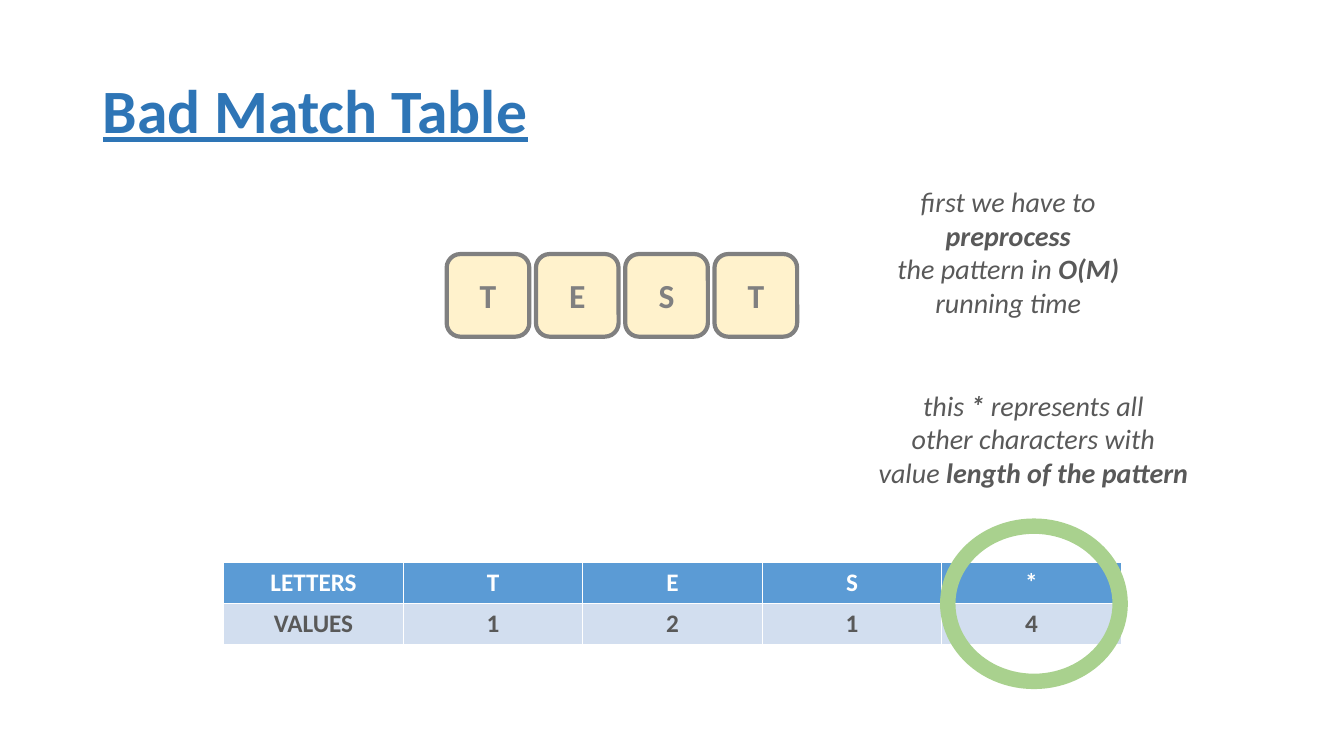
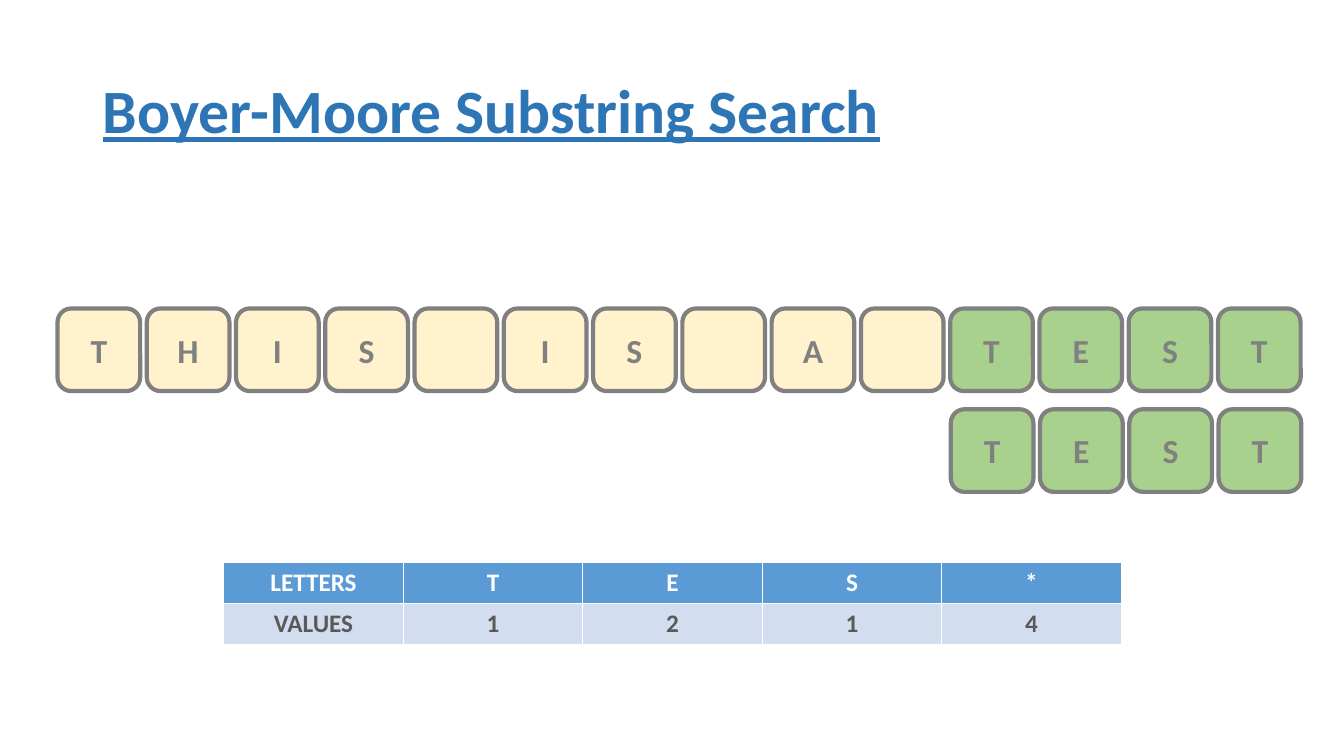
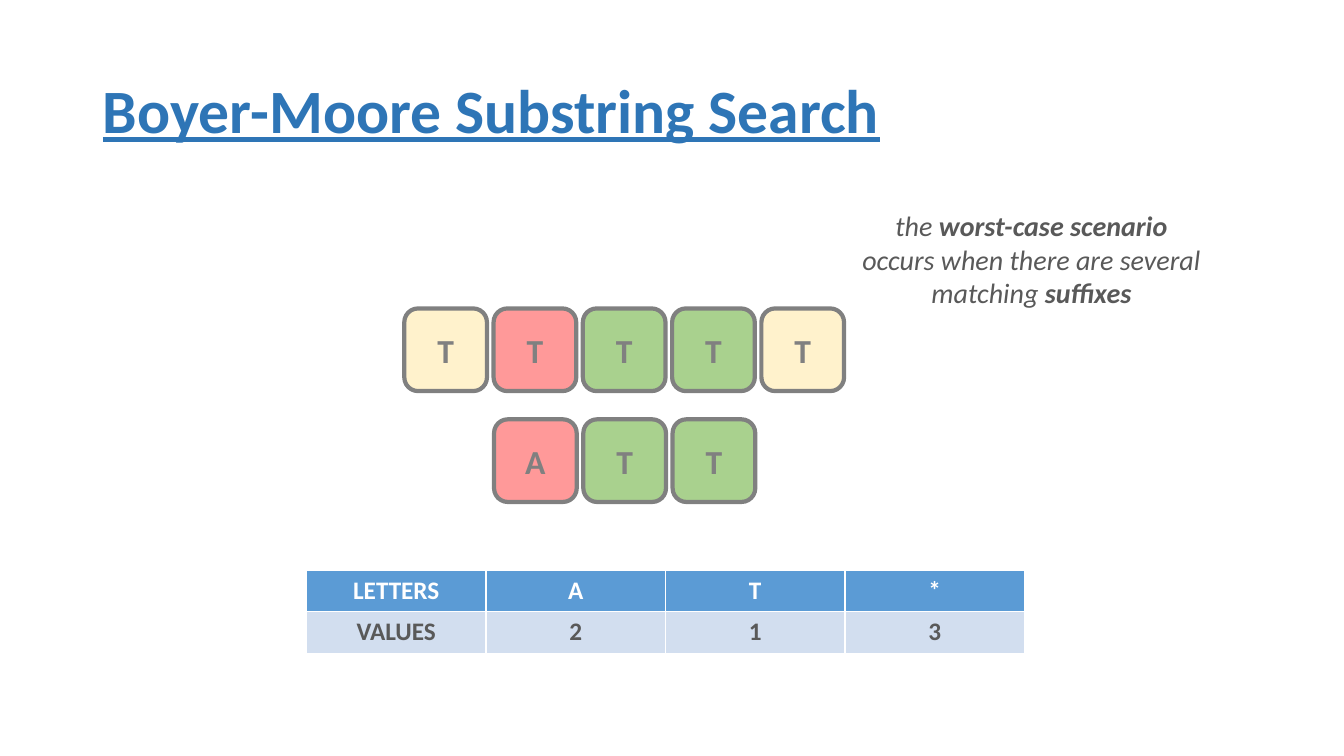
from pptx import Presentation
from pptx.dml.color import RGBColor as RGB
from pptx.enum.shapes import MSO_SHAPE as Shape
from pptx.enum.text import MSO_ANCHOR as Anchor, MSO_AUTO_SIZE as Fit, PP_ALIGN as Align
from pptx.util import Inches, Pt

# Colours
BLUE = RGB(0x2E, 0x75, 0xB6)
HEAD = RGB(0x5B, 0x9B, 0xD5)
PALE = RGB(0xD2, 0xDE, 0xEF)
WHITE = RGB(0xFF, 0xFF, 0xFF)
INK = RGB(0x59, 0x59, 0x59)
GRAY = RGB(0x80, 0x80, 0x80)
CREAM = RGB(0xFF, 0xF2, 0xCC)
GREEN = RGB(0xA9, 0xD1, 0x8E)
RED = RGB(0xFF, 0x99, 0x99)

# Text formats: font attributes, with the colour kept apart
TITLE = {"size": Pt(44), "bold": True, "underline": True}, BLUE
TILE = {"size": Pt(24), "bold": True}, GRAY
NOTE = {"size": Pt(20), "italic": True}, INK
TOP = {"size": Pt(18), "bold": True}, WHITE
BODY = {"size": Pt(18), "bold": True}, INK

# Tiles: fourteen of them fill a full row
SIDE = 0.82
STEP = 11.51 / 13
FILLS = {".": CREAM, "+": GREEN, "x": RED}

# Tables
COL, ROW = 1.78, 0.41


class Deck:
    def __init__(self):
        self.prs = Presentation()
        self.prs.slide_width = Inches(13.33)
        self.prs.slide_height = Inches(7.5)

    def font(self, font, style, **more):
        attrs, color = style
        for key, value in {"name": "Calibri", **attrs, **more}.items():
            setattr(font, key, value)
        font.color.rgb = color

    def slide(self, title):
        page = self.prs.slides.add_slide(self.prs.slide_layouts[5])
        self.shapes = page.shapes
        box = self.shapes.title
        box.left, box.top = Inches(0.92), Inches(0.4)
        box.width, box.height = Inches(11.5), Inches(1.45)
        frame = box.text_frame
        frame.text = title
        frame.auto_size = Fit.NONE
        frame.vertical_anchor = Anchor.MIDDLE
        para = frame.paragraphs[0]
        para.alignment = Align.LEFT
        para.line_spacing = 0.9
        self.font(para.runs[0].font, TITLE)

    def shape(self, kind, x, y, w, h, line, width, fill=None):
        item = self.shapes.add_shape(kind, Inches(x), Inches(y), Inches(w), Inches(h))
        item.shadow.inherit = False
        if fill is None:
            item.fill.background()
        else:
            item.fill.solid()
            item.fill.fore_color.rgb = fill
        item.line.color.rgb = line
        item.line.width = Pt(width)
        return item

    def tiles(self, x, y, word, marks):
        """A row of letter tiles; each mark picks the fill of its tile."""
        for i, (char, mark) in enumerate(zip(word, marks)):
            tile = self.shape(Shape.ROUNDED_RECTANGLE, x + i * STEP, y, SIDE, SIDE,
                              GRAY, 3, FILLS[mark])
            if char == " ":
                continue
            frame = tile.text_frame
            frame.text = char
            frame.vertical_anchor = Anchor.MIDDLE
            para = frame.paragraphs[0]
            para.alignment = Align.CENTER
            self.font(para.runs[0].font, TILE)

    def ring(self, x, y, w, h):
        self.shape(Shape.OVAL, x, y, w, h, GREEN, 11)

    def note(self, x, y, w, lines, wrap=False):
        """Centred lines; every second part between bars is bold."""
        box = self.shapes.add_textbox(Inches(x), Inches(y), Inches(w), Inches(1.11))
        frame = box.text_frame
        frame.word_wrap = wrap
        frame.auto_size = Fit.SHAPE_TO_FIT_TEXT
        if wrap:
            frame.margin_left = frame.margin_right = Inches(0.2)
        for i, line in enumerate(lines):
            para = frame.add_paragraph() if i else frame.paragraphs[0]
            para.alignment = Align.CENTER
            for j, part in enumerate(line.split("|")):
                if part:
                    run = para.add_run()
                    run.text = part
                    self.font(run.font, NOTE, bold=j % 2 == 1)

    def table(self, x, y, keys, values):
        rows = [["LETTERS", *keys], ["VALUES", *values]]
        count = len(rows[0])
        grid = self.shapes.add_table(2, count, Inches(x), Inches(y),
                                     Inches(COL * count), Inches(ROW * 2)).table
        for col in grid.columns:
            col.width = Inches(COL)
        looks = [(HEAD, TOP), (PALE, BODY)]
        for r, (row, (fill, style)) in enumerate(zip(rows, looks)):
            grid.rows[r].height = Inches(ROW)
            for c, text in enumerate(row):
                cell = grid.cell(r, c)
                cell.fill.solid()
                cell.fill.fore_color.rgb = fill
                cell.text = text
                para = cell.text_frame.paragraphs[0]
                para.alignment = Align.CENTER
                self.font(para.runs[0].font, style)


def main():
    deck = Deck()

    # Bad match table
    deck.slide("Bad Match Table")
    deck.tiles(4.43, 2.52, "TEST", "....")
    deck.note(8.38, 1.78, 3.24, ["first we have to |preprocess",
                                 "the pattern in |O(M)",
                                 "running time"], wrap=True)
    deck.table(2.22, 5.58, "TES*", "1214")
    deck.ring(9.4, 5.22, 1.71, 1.54)
    deck.note(8.6, 3.8, 3.3, ["this |*| represents all",
                              "other characters with",
                              "value |length of the pattern"])

    # Match found
    deck.slide("Boyer-Moore Substring Search")
    deck.tiles(0.57, 3.06, "THIS IS A TEST", "." * 10 + "+" * 4)
    deck.table(2.22, 5.58, "TES*", "1214")
    deck.tiles(9.43, 4.06, "TEST", "++++")

    # Worst case
    deck.slide("Boyer-Moore Substring Search")
    deck.tiles(4.01, 3.06, "TTTTT", ".x++.")
    deck.note(8.44, 2.02, 3.58, ["the |worst-case scenario",
                                 "occurs when there are several",
                                 "matching |suffixes"])
    deck.tiles(4.9, 4.16, "ATT", "x++")
    deck.table(3.04, 5.66, "AT*", "213")

    deck.prs.save("out.pptx")


if __name__ == "__main__":
    main()
